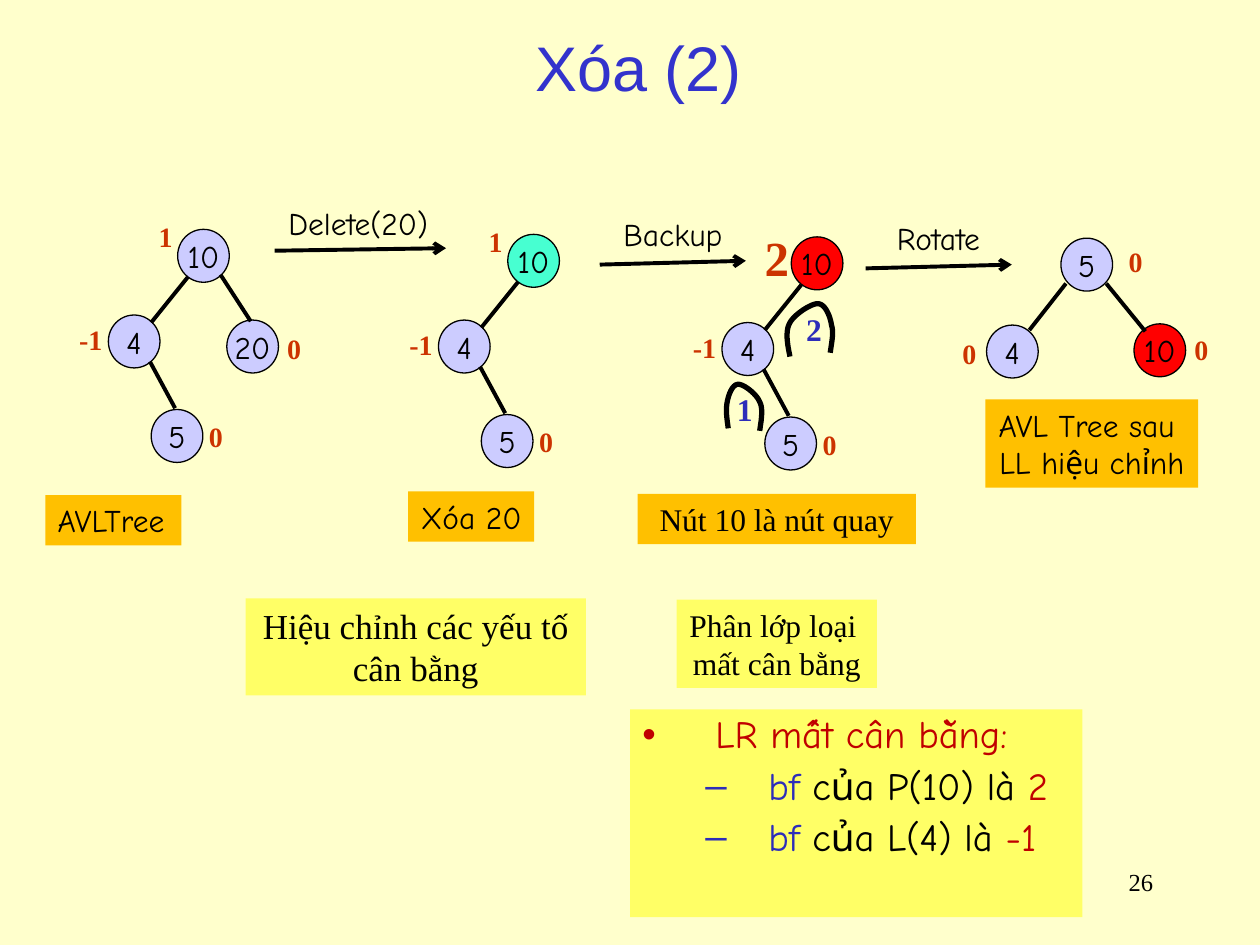
from lxml import etree
from pptx import Presentation
from pptx.dml.color import RGBColor
from pptx.enum.shapes import MSO_CONNECTOR, MSO_SHAPE
from pptx.enum.text import MSO_ANCHOR, MSO_AUTO_SIZE, PP_ALIGN
from pptx.oxml.ns import qn
from pptx.util import Inches, Pt

GRID = Inches(0.1)
COLUMNS, ROWS = 100, 75
LEFT, CENTER, RIGHT = PP_ALIGN.LEFT, PP_ALIGN.CENTER, PP_ALIGN.RIGHT
TOP, MIDDLE = MSO_ANCHOR.TOP, MSO_ANCHOR.MIDDLE
GROW = MSO_AUTO_SIZE.SHAPE_TO_FIT_TEXT
RECTANGLE, OVAL = MSO_SHAPE.RECTANGLE, MSO_SHAPE.OVAL
STRAIGHT = MSO_CONNECTOR.STRAIGHT

CREAM = RGBColor(0xFF, 0xFF, 0xCC)
BLACK = RGBColor(0x00, 0x00, 0x00)
TITLE_BLUE = RGBColor(0x33, 0x33, 0xCC)
BLUE = RGBColor(0x2D, 0x2D, 0xB9)
LAVENDER = RGBColor(0xCC, 0xCC, 0xFF)
TURQUOISE = RGBColor(0x47, 0xFF, 0xD1)
RED = RGBColor(0xFF, 0x00, 0x00)
DARK_RED = RGBColor(0xC0, 0x00, 0x00)
RUST = RGBColor(0xCC, 0x33, 0x00)
ORANGE = RGBColor(0xFF, 0xC0, 0x00)
YELLOW = RGBColor(0xFF, 0xFF, 0x66)

SANS, HAND, SERIF = "Arial", "Comic Neue", "Times New Roman"
NODE_WIDTH, NODE_HEIGHT = 4.1, 4.2


def length(units):
    return round(units * GRID)


def style(paragraph, size, font, color, bold=False):
    paragraph.font.size = Pt(size)
    paragraph.font.name = font
    paragraph.font.bold = bold
    paragraph.font.color.rgb = color


def add_text(slide, box, text, size=18, font=HAND, color=BLACK, align=LEFT,
             bold=False, wrap=False, fill=None, kind=None, anchor=TOP):
    place = [length(value) for value in box]
    if kind is None:
        shape = slide.shapes.add_textbox(*place)
    else:
        shape = slide.shapes.add_shape(kind, *place)
        shape.shadow.inherit = False
        shape.fill.solid()
        shape.fill.fore_color.rgb = fill
        shape.line.fill.background()
    frame = shape.text_frame
    frame.word_wrap = wrap
    if not wrap and kind != OVAL:
        frame.auto_size = GROW
    frame.vertical_anchor = anchor
    frame.text = text
    for paragraph in frame.paragraphs:
        paragraph.alignment = align
        style(paragraph, size, font, color, bold)
    return shape


def add_label(slide, box, text, fill, size=18, font=HAND, wrap=False, align=CENTER):
    add_text(slide, box, text, size, font, align=align, wrap=wrap,
             fill=fill, kind=RECTANGLE)


def add_line(slide, start, end, arrow=False):
    line = slide.shapes.add_connector(
        STRAIGHT, *[length(value) for value in (*start, *end)])
    line.line.color.rgb = BLACK
    line.line.width = Pt(2.25)
    if arrow:
        etree.SubElement(line.line._get_or_add_ln(), qn("a:tailEnd"), type="arrow")
    etree.SubElement(line._element.spPr, qn("a:effectLst"))


def add_tree(slide, left, top, nodes, edges, factors):
    for key, x, y, fill in nodes:
        node = add_text(slide, (left + x, top + y, NODE_WIDTH, NODE_HEIGHT), key,
                        align=CENTER, fill=fill, kind=OVAL, anchor=MIDDLE)
        node.line.color.rgb = BLACK
        node.line.width = Pt(0.75)
    for x1, y1, x2, y2 in edges:
        add_line(slide, (left + x1, top + y1), (left + x2, top + y2))
    for value, x, y, size in factors:
        width = 4 if len(value) > 1 else 3.1
        add_text(slide, (left + x, top + y, width, size * 0.21), value, size,
                 SERIF, RUST, bold=True)


def add_left_heavy_tree(slide, left, top, root_fill, root_factor,
                        nodes=(), edges=(), factors=()):
    add_tree(
        slide, left, top,
        [("10", 0, 0, root_fill), ("4", -5.5, 6.8, LAVENDER),
         ("5", -2.1, 14.3, LAVENDER), *nodes],
        [(0.8, 3.8, -2.1, 7.4), (-2.2, 10.5, -0.2, 14.2), *edges],
        [root_factor, ("-1", -8.8, 6.9, 16), ("0", 1.5, 14.6, 16), *factors])


def add_balanced_tree(slide, left, top):
    add_tree(
        slide, left, top,
        [("5", 0, 0, LAVENDER), ("4", -5.9, 6.9, LAVENDER), ("10", 5.8, 6.8, RED)],
        [(0.4, 3.6, -2.5, 7.3), (3.6, 3.6, 6.7, 7.4)],
        [("0", 4.4, 0, 16), ("0", -8.8, 7.3, 16), ("0", 9.6, 7, 16)])


def add_step(slide, left, top, width, rise, text, text_box):
    add_line(slide, (left, top), (left + width, top - rise), arrow=True)
    x, y, text_width = text_box
    add_text(slide, (left + x, top + y, text_width, 4), text)


def bezier(start, first, second, end, steps=12):
    for step in range(1, steps + 1):
        t = step / steps
        u = 1 - t
        yield tuple(round(u**3 * a + 3 * u * u * t * b + 3 * u * t * t * c + t**3 * d)
                    for a, b, c, d in zip(start, first, second, end))


def add_arch(slide, left, top, points, text, text_x):
    points = [(length(left + x), length(top + y)) for x, y in points]
    builder = slide.shapes.build_freeform(*points[0])
    curve = [point for i in range(0, len(points) - 1, 3)
             for point in bezier(*points[i:i + 4])]
    builder.add_line_segments(curve, close=False)
    arch = builder.convert_to_shape()
    arch.shadow.inherit = False
    arch.fill.background()
    arch.line.color.rgb = BLACK
    arch.line.width = Pt(3)
    add_text(slide, (left + text_x, top, 3.2, 4), text, font=SERIF, color=BLUE,
             bold=True)


def add_bullet(paragraph, mark, color, margin, hanging):
    properties = paragraph._p.get_or_add_pPr()
    properties.set("marL", str(length(margin)))
    properties.set("indent", str(-length(hanging)))
    bullet_color = etree.SubElement(properties, qn("a:buClr"))
    etree.SubElement(bullet_color, qn("a:srgbClr"), val=str(color))
    etree.SubElement(properties, qn("a:buFont"), typeface=SANS)
    etree.SubElement(properties, qn("a:buChar"), char=mark)


def add_case_box(slide, box):
    shape = add_text(slide, box, "", fill=YELLOW, kind=RECTANGLE, wrap=True)
    frame = shape.text_frame
    items = [
        (0, [("LR mất cân bằng:", DARK_RED)]),
        (1, [("bf", BLUE), (" của P(10) là ", BLACK), ("2", DARK_RED)]),
        (1, [("bf", BLUE), (" của L(4) là ", BLACK), ("-1", DARK_RED)]),
    ]
    for index, (level, runs) in enumerate(items):
        paragraph = frame.add_paragraph() if index else frame.paragraphs[0]
        if index == 0:
            paragraph._p.remove(paragraph._p.get_or_add_pPr())
        color = runs[0][1]
        if level:
            add_bullet(paragraph, "–", color, 10, 5)
        else:
            add_bullet(paragraph, "•", color, 5.8, 5.8)
        paragraph.level = level
        paragraph.alignment = LEFT
        paragraph.line_spacing = 0.9
        if index:
            paragraph.space_before = Pt(5.5)
        style(paragraph, 22, HAND, color)
        for text, run_color in runs:
            run = paragraph.add_run()
            run.text = text
            run.font.color.rgb = run_color


def build_slide(slide):
    slide.background.fill.solid()
    slide.background.fill.fore_color.rgb = CREAM
    add_text(slide, (3, 1.5, 95.4, 7.6), "Xóa (2)", 36, SANS, TITLE_BLUE, CENTER,
             wrap=True, anchor=MIDDLE)
    add_text(slide, (71.7, 68.3, 20.8, 5), "26", 14, SERIF, align=RIGHT, wrap=True)

    add_left_heavy_tree(slide, 14.1, 18.2, LAVENDER, ("1", -2.5, -1.3, 16),
                        [("20", 3.9, 7.2, LAVENDER)], [(3.4, 3.6, 5.8, 7.3)],
                        [("0", 7.7, 7.6, 16)])
    add_left_heavy_tree(slide, 40.3, 18.6, TURQUOISE, ("1", -2.5, -1.3, 16))
    add_left_heavy_tree(slide, 62.8, 18.8, RED, ("2", -3.1, -1.2, 28))
    add_balanced_tree(slide, 84.2, 18.9)

    add_step(slide, 21.8, 19.9, 13.6, 0.2, "Delete(20)", (0.1, -4.2, 13.1))
    add_step(slide, 47.6, 21, 11.6, 0.3, "Backup", (0.9, -4.4, 10.4))
    add_step(slide, 68.7, 21.3, 11.6, 0.3, "Rotate", (1.5, -4.4, 8.8))

    add_label(slide, (3.6, 39.3, 10.8, 4), "AVLTree", ORANGE, align=LEFT)
    add_label(slide, (32.4, 39, 10, 4), "Xóa 20", ORANGE)
    add_label(slide, (50.6, 39.2, 22.1, 4), "Nút 10 là nút quay", ORANGE,
              font=SERIF, wrap=True)
    add_label(slide, (78.2, 31.7, 16.9, 7), "AVL Tree sau \nLL hiệu chỉnh", ORANGE)
    add_label(slide, (19.5, 47.5, 27, 7.7), "Hiệu chỉnh các yếu tố cân bằng",
              YELLOW, 20, SERIF, wrap=True)
    add_label(slide, (53.7, 47.6, 15.9, 7), "Phân lớp loại \nmất cân bằng",
              YELLOW, font=SERIF)

    add_arch(slide, 57.6, 30.5,
             [(2.7, 3.7), (2.8, 2.9), (3, 2), (2.7, 1.4), (2.4, 0.7), (1.4, 0),
              (1, 0), (0.5, 0), (0.2, 0.9), (0.1, 1.5), (0, 2.1), (0.1, 2.8),
              (0.2, 3.5)], "1", -0.1)
    add_arch(slide, 62.3, 24.1,
             [(0.4, 4.2), (0.2, 3.2), (0, 2.2), (0.4, 1.5), (0.8, 0.8), (2.1, 0),
              (2.6, 0), (3.2, 0), (3.6, 1), (3.7, 1.7), (3.9, 2.3), (3.7, 3.1),
              (3.6, 3.9)], "2", 0.7)
    add_case_box(slide, (50, 56.3, 35.9, 16.5))


def main():
    presentation = Presentation()
    presentation.slide_width = length(COLUMNS)
    presentation.slide_height = length(ROWS)
    build_slide(presentation.slides.add_slide(presentation.slide_layouts[6]))
    presentation.save("out.pptx")


if __name__ == "__main__":
    main()
